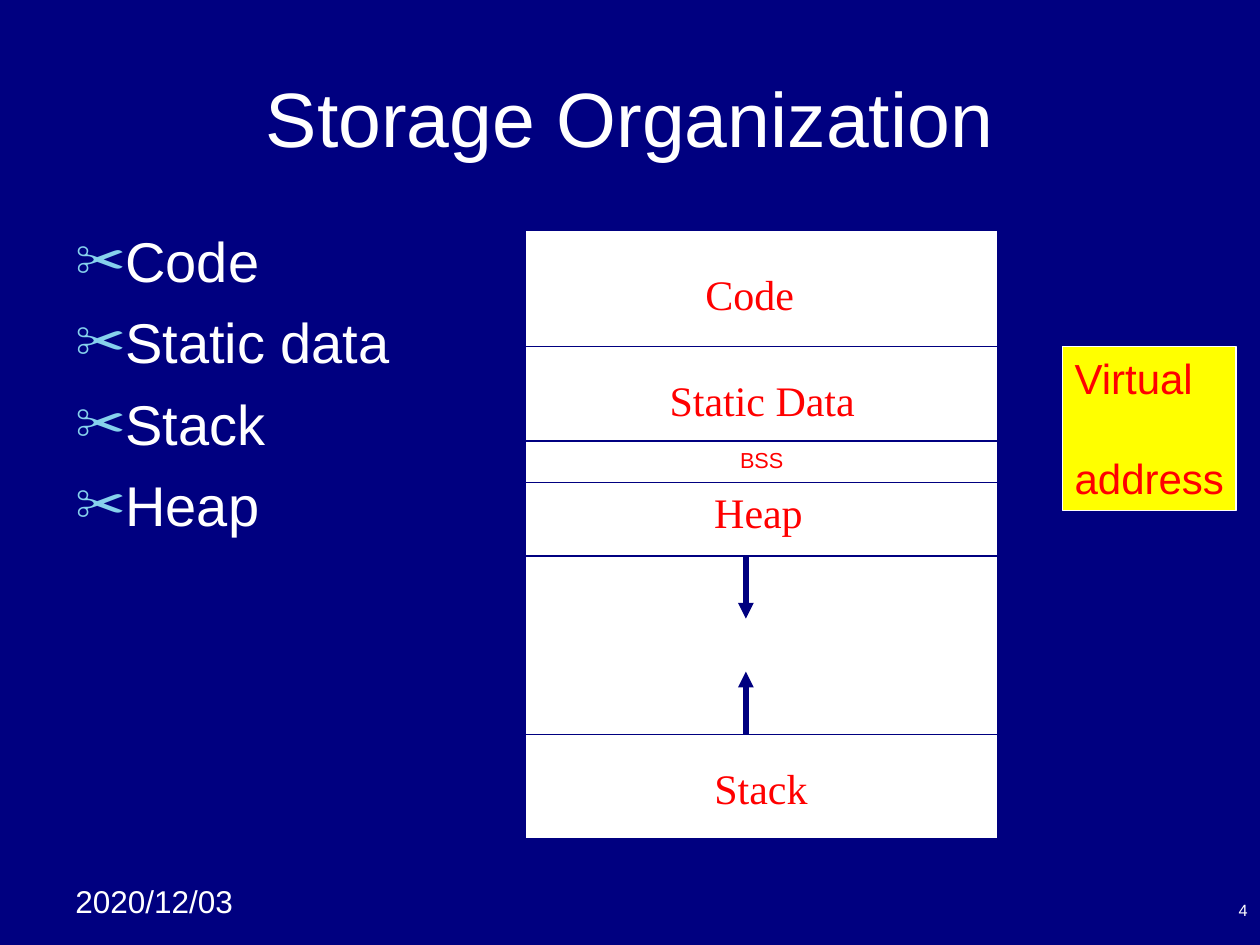
from lxml.etree import SubElement
from pptx import Presentation
from pptx.dml.color import RGBColor
from pptx.enum.shapes import MSO_CONNECTOR, MSO_SHAPE
from pptx.enum.text import MSO_ANCHOR, PP_ALIGN
from pptx.oxml.ns import qn
from pptx.util import Inches, Pt

NAVY = RGBColor(0x00, 0x00, 0x80)
WHITE = RGBColor(0xFF, 0xFF, 0xFF)
RED = RGBColor(0xFF, 0x00, 0x00)
YELLOW = RGBColor(0xFF, 0xFF, 0x00)
SKY = RGBColor(0x86, 0xD1, 0xEC)


def write(shape, lines, size, color, font="Arial", align=PP_ALIGN.LEFT,
          anchor=MSO_ANCHOR.TOP, wrap=True, gap=0, bullet=None):
    """Fill a shape with formatted paragraphs."""
    frame = shape.text_frame
    for name, value in {"word_wrap": wrap, "vertical_anchor": anchor}.items():
        setattr(frame, name, value)
    frame.text = "\n".join(lines)
    for index, paragraph in enumerate(frame.paragraphs):
        paragraph.alignment = align
        paragraph.space_before = Pt(gap if index else 0)
        if bullet:
            add_bullet(paragraph, bullet)
        for name, value in {"name": font, "size": Pt(size)}.items():
            setattr(paragraph.font, name, value)
        paragraph.font.color.rgb = color


def add_bullet(paragraph, character):
    """Give a paragraph a coloured bullet with a hanging indent."""
    properties = paragraph._p.get_or_add_pPr()
    properties.set("marL", str(Inches(0.38)))
    properties.set("indent", str(-Inches(0.38)))
    color = SubElement(properties, qn("a:buClr"))
    SubElement(color, qn("a:srgbClr")).set("val", str(SKY))
    SubElement(properties, qn("a:buSzPct")).set("val", "90000")
    SubElement(properties, qn("a:buFont")).set("typeface", "Arial")
    SubElement(properties, qn("a:buChar")).set("char", character)


def add_text(slide, box, lines, size, color, **options):
    """Add a text box in the given box."""
    shape = slide.shapes.add_textbox(*map(Inches, box))
    write(shape, lines, size, color, **options)


def add_box(slide, box, fill, line, width):
    """Add a filled and outlined rectangle."""
    shape = slide.shapes.add_shape(MSO_SHAPE.RECTANGLE, *map(Inches, box))
    shape.shadow.inherit = False
    shape.fill.solid()
    shape.fill.fore_color.rgb = fill
    shape.line.color.rgb = line
    shape.line.width = Pt(width)
    return shape


def add_line(slide, start, end, width, arrow=False):
    """Add a navy straight line, with an arrowhead at its end if wanted."""
    connector = slide.shapes.add_connector(
        MSO_CONNECTOR.STRAIGHT, *map(Inches, (*start, *end)))
    connector.line.color.rgb = NAVY
    connector.line.width = Pt(width)
    if arrow:
        SubElement(connector.line._get_or_add_ln(), qn("a:tailEnd")).set("type", "triangle")
    SubElement(connector._element.spPr, qn("a:effectLst"))


def add_title(slide, box, text):
    """Place and format the title placeholder."""
    title = slide.shapes.title
    for name, value in zip(("left", "top", "width", "height"), box):
        setattr(title, name, Inches(value))
    write(title, [text], 44, WHITE, align=PP_ALIGN.CENTER, anchor=MSO_ANCHOR.MIDDLE)


def add_memory_map(slide, box):
    """Draw the memory segments with the growth arrows of heap and stack."""
    left, top, width, height = box
    add_box(slide, box, WHITE, NAVY, 1)
    heap_end, stack_start = top + 2.58, top + 4
    for y in (top + 0.92, top + 1.67, heap_end, stack_start):
        add_line(slide, (left, y), (left + width, y), 1)
    arrow_x = left + 1.75
    for y, growth in ((stack_start, -0.5), (heap_end, 0.5)):
        add_line(slide, (arrow_x, y), (arrow_x, y + growth), 3, arrow=True)
    labels = (("Code", 1.28, 0.25, 1), ("Static Data", 1.03, 1.09, 1.7),
              ("Heap", 1.35, 1.98, 1), ("Stack", 1.37, 4.17, 1))
    for text, x, y, label_width in labels:
        add_text(slide, (left + x, top + y, label_width, 0.5), [text], 24, RED,
                 font="Times New Roman", align=PP_ALIGN.CENTER, wrap=False)
    bss = add_box(slide, (left, top + 1.67, width, 0.33), WHITE, NAVY, 0.75)
    write(bss, ["BSS"], 12.4, RED, align=PP_ALIGN.CENTER)


def add_address_note(slide, box):
    """Add the yellow note about the address space."""
    note = add_box(slide, box, YELLOW, WHITE, 0.75)
    write(note, ["Virtual", "address"], 24, RED, wrap=False, gap=28)


def add_footer(slide, box):
    """Add the date and the slide number at the ends of the footer."""
    left, top, width, height = box
    add_text(slide, (left, top, 1.58, height), ["2020/12/03"], 18, WHITE)
    add_text(slide, (left + width - 2.33, top + 0.13, 2.33, 0.27), ["4"], 9.3, WHITE,
             align=PP_ALIGN.RIGHT, anchor=MSO_ANCHOR.BOTTOM)


def main():
    """Build the slide and save it."""
    presentation = Presentation()
    presentation.slide_width = Inches(10)
    presentation.slide_height = Inches(7.5)
    slide = presentation.slides.add_slide(presentation.slide_layouts[5])
    slide.background.fill.solid()
    slide.background.fill.fore_color.rgb = NAVY
    add_title(slide, (0.5, 0.3, 9, 1.25), "Storage Organization")
    add_text(slide, (0.5, 1.75, 9, 4.95), ["Code", "Static data", "Stack", "Heap"],
             32, WHITE, gap=8, bullet="✂")
    add_memory_map(slide, (4.17, 1.83, 3.75, 4.83))
    add_address_note(slide, (8.43, 2.75, 1.38, 1.3))
    add_footer(slide, (0.5, 6.95, 9.5, 0.4))
    presentation.save("out.pptx")


if __name__ == "__main__":
    main()
